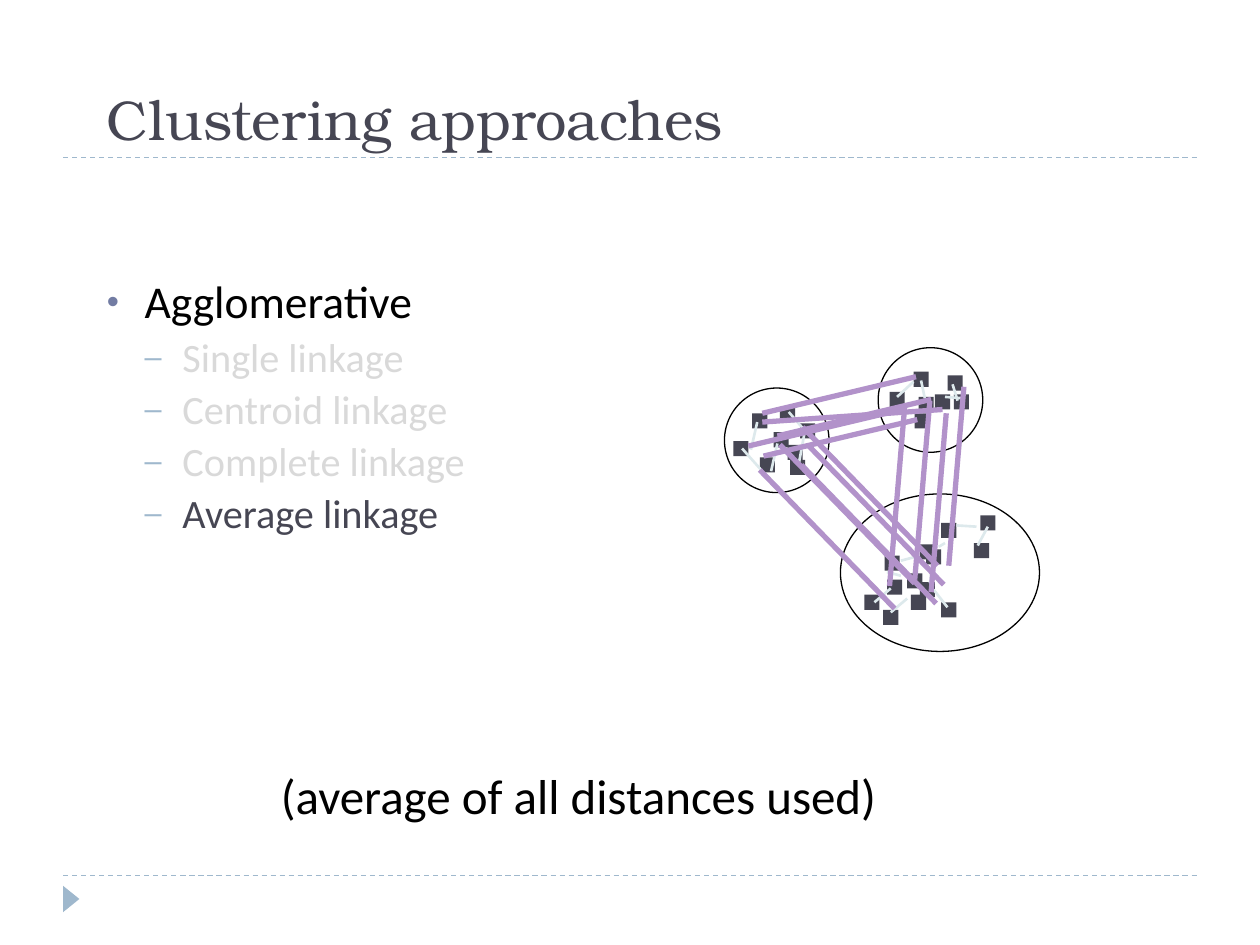
from dataclasses import dataclass

from lxml import etree
from pptx import Presentation
from pptx.dml.color import RGBColor
from pptx.enum.dml import MSO_LINE
from pptx.enum.shapes import MSO_CONNECTOR, MSO_SHAPE
from pptx.enum.text import MSO_ANCHOR
from pptx.oxml.ns import qn
from pptx.util import Inches, Pt

STRAIGHT = MSO_CONNECTOR.STRAIGHT
DASH = MSO_LINE.DASH
RECT, OVAL, TRIANGLE = MSO_SHAPE.RECTANGLE, MSO_SHAPE.OVAL, MSO_SHAPE.ISOSCELES_TRIANGLE
TOP, BOTTOM = MSO_ANCHOR.TOP, MSO_ANCHOR.BOTTOM


@dataclass(frozen=True)
class Theme:
    ink: str = "464653"
    black: str = "000000"
    faded: str = "D9D9D9"
    accent: str = "9FB8CD"
    bullet: str = "727CA3"
    branch: str = "DDE9EC"
    link: str = "B292CA"
    serif: str = "TeX Gyre Bonum"
    sans: str = "Calibri"
    title: float = 32
    head: float = 26
    item: float = 23
    note: float = 28


@dataclass(frozen=True)
class Box:
    left: float
    top: float
    width: float
    height: float

    def emu(self) -> list:
        return [Inches(v) for v in (self.left, self.top, self.width, self.height)]


@dataclass(frozen=True)
class Line:
    x1: float
    y1: float
    x2: float
    y2: float


@dataclass(frozen=True)
class Para:
    text: str
    size: float
    color: str
    mark: str = ""
    tint: str = ""
    indent: float = 0
    before: float = 0


THEME = Theme()
DOT = 0.12
HANG = 0.3

# Top left corners of the data points, one row per cluster
DOTS = [
    (5.97, 3.28), (6.19, 3.23), (6.14, 3.43), (5.82, 3.5), (6.03, 3.63), (6.35, 3.36), (6.27, 3.65), (6.25, 3.53),
    (7.06, 3.11), (7.26, 3.28), (7.29, 3.15), (7.25, 2.95), (7.42, 3.13), (7.57, 3.13), (7.52, 2.98),
    (7.01, 4.84), (6.86, 4.72), (7.04, 4.6), (7.23, 4.72), (7.02, 4.41), (7.2, 4.55), (7.35, 4.36),
    (7.78, 4.09), (7.3, 4.32), (7.47, 4.15), (7.3, 4.62), (7.73, 4.31), (7.47, 4.78),
]

BRANCHES = [
    Line(6.01, 3.35, 5.96, 3.57), Line(5.89, 3.56, 6.05, 3.74), Line(6.17, 3.52, 6.12, 3.74),
    Line(6.34, 3.68, 6.39, 3.41), Line(6.26, 3.27, 6.39, 3.42),
    Line(7.25, 3.03, 7.12, 3.15), Line(7.31, 3.02, 7.34, 3.16), Line(7.56, 3.05, 7.6, 3.18),
    Line(7.63, 3.16, 7.5, 3.15),
    Line(7.5, 4.31, 7.45, 4.34), Line(7.75, 4.18, 7.59, 4.17), Line(7.84, 4.18, 7.76, 4.33),
    Line(7.15, 4.45, 7.3, 4.41), Line(7.38, 4.63, 7.41, 4.43), Line(7.52, 4.82, 7.41, 4.68),
    Line(7.15, 4.57, 7.04, 4.54), Line(7.2, 4.75, 7.07, 4.86), Line(7.07, 4.67, 6.94, 4.78),
]

RINGS = [Box(5.75, 3.08, 0.83, 0.83), Box(6.97, 2.76, 0.83, 0.83), Box(6.67, 3.92, 1.58, 1.25)]

# Links between two clusters share one offset: (dx, dy) and the start points
LINKS = [
    ((-1.22, 0.29), [(7.39, 3.17), (7.28, 3.33), (7.27, 2.99), (7.16, 3.25)]),
    ((-1.43, 0.1), [(7.48, 3.25)]),
    ((-0.12, 1.42), [(7.38, 3.18), (7.18, 3.23), (7.51, 3.28), (7.65, 3.07)]),
    ((1.07, 1.1), [(6.19, 3.53), (6.36, 3.69), (6.03, 3.73), (6.37, 3.39), (6.42, 3.54)]),
]

METHODS = ["Single linkage", "Centroid linkage", "Complete linkage", "Average linkage"]


def rgb(code: str) -> RGBColor:
    return RGBColor.from_string(code)


def add_line(shapes, line: Line, color: str, width: float, dash=None) -> None:
    ends = [Inches(v) for v in (line.x1, line.y1, line.x2, line.y2)]
    joint = shapes.add_connector(STRAIGHT, *ends)
    joint.line.color.rgb = rgb(color)
    joint.line.width = Pt(width)
    if dash:
        joint.line.dash_style = dash
    etree.SubElement(joint._element.spPr, qn("a:effectLst"))


def add_form(shapes, kind, box: Box, fill: str = "", line: str = "", turn: float = 0) -> None:
    form = shapes.add_shape(kind, *box.emu())
    form.shadow.inherit = False
    form.rotation = turn
    if fill:
        form.fill.solid()
        form.fill.fore_color.rgb = rgb(fill)
    else:
        form.fill.background()
    if line:
        form.line.color.rgb = rgb(line)
        form.line.width = Pt(0.75)
    else:
        form.line.fill.background()


def add_mark(para, item: Para) -> None:
    """Give the paragraph a coloured bullet with a hanging indent."""
    props = para._p.get_or_add_pPr()
    props.set("marL", str(Inches(item.indent)))
    props.set("indent", str(-Inches(HANG)))
    color = etree.SubElement(props, qn("a:buClr"))
    etree.SubElement(color, qn("a:srgbClr"), val=item.tint)
    etree.SubElement(props, qn("a:buSzPct"), val="76000")
    etree.SubElement(props, qn("a:buFont"), typeface="Arial")
    etree.SubElement(props, qn("a:buChar"), char=item.mark)


def add_text(shapes, box: Box, items: list[Para], *, font: str = THEME.sans,
             anchor=TOP, wrap: bool = True) -> None:
    frame = shapes.add_textbox(*box.emu()).text_frame
    frame.word_wrap = wrap
    frame.vertical_anchor = anchor
    for i, item in enumerate(items):
        para = frame.add_paragraph() if i else frame.paragraphs[0]
        if item.mark:
            para.line_spacing = 0.9
            para.space_before = Pt(item.before)
            add_mark(para, item)
        run = para.add_run()
        run.text = item.text
        run.font.name = font
        run.font.size = Pt(item.size)
        run.font.color.rgb = rgb(item.color)


def add_graph(shapes) -> None:
    dots = shapes.add_group_shape().shapes
    for x, y in DOTS:
        add_form(dots, RECT, Box(x, y, DOT, DOT), fill=THEME.ink)
    tree = shapes.add_group_shape().shapes
    for branch in BRANCHES:
        add_line(tree, branch, THEME.branch, 1.5)
    rings = shapes.add_group_shape().shapes
    for ring in RINGS:
        add_form(rings, OVAL, ring, line=THEME.black)
    for (dx, dy), starts in LINKS:
        for x, y in starts:
            add_line(shapes, Line(x, y, x + dx, y + dy), THEME.link, 3)


def main() -> None:
    deck = Presentation()
    deck.slide_width, deck.slide_height = Inches(10), Inches(7.5)
    shapes = deck.slides.add_slide(deck.slide_layouts[6]).shapes

    for y in (6.95, 1.25):
        add_line(shapes, Line(0.5, y, 9.5, y), THEME.accent, 0.75, DASH)
    add_form(shapes, TRIANGLE, Box(0.46, 7.07, 0.21, 0.13), fill=THEME.accent, turn=90)

    add_text(shapes, Box(0.75, 0, 8.5, 1.25), [Para("Clustering approaches", THEME.title, THEME.ink)],
             font=THEME.serif, anchor=BOTTOM)
    items = [Para("Agglomerative", THEME.head, THEME.black, "•", THEME.bullet, HANG, 6)]
    for name in METHODS:
        color = THEME.ink if name == METHODS[-1] else THEME.faded
        items.append(Para(name, THEME.item, color, "–", THEME.accent, 2 * HANG, 5))
    add_text(shapes, Box(0.75, 2.17, 8.5, 2.8), items)

    add_graph(shapes)
    add_text(shapes, Box(2.13, 6.03, 4.98, 0.57),
             [Para("(average of all distances used)", THEME.note, THEME.black)], wrap=False)
    deck.save("out.pptx")


if __name__ == "__main__":
    main()
